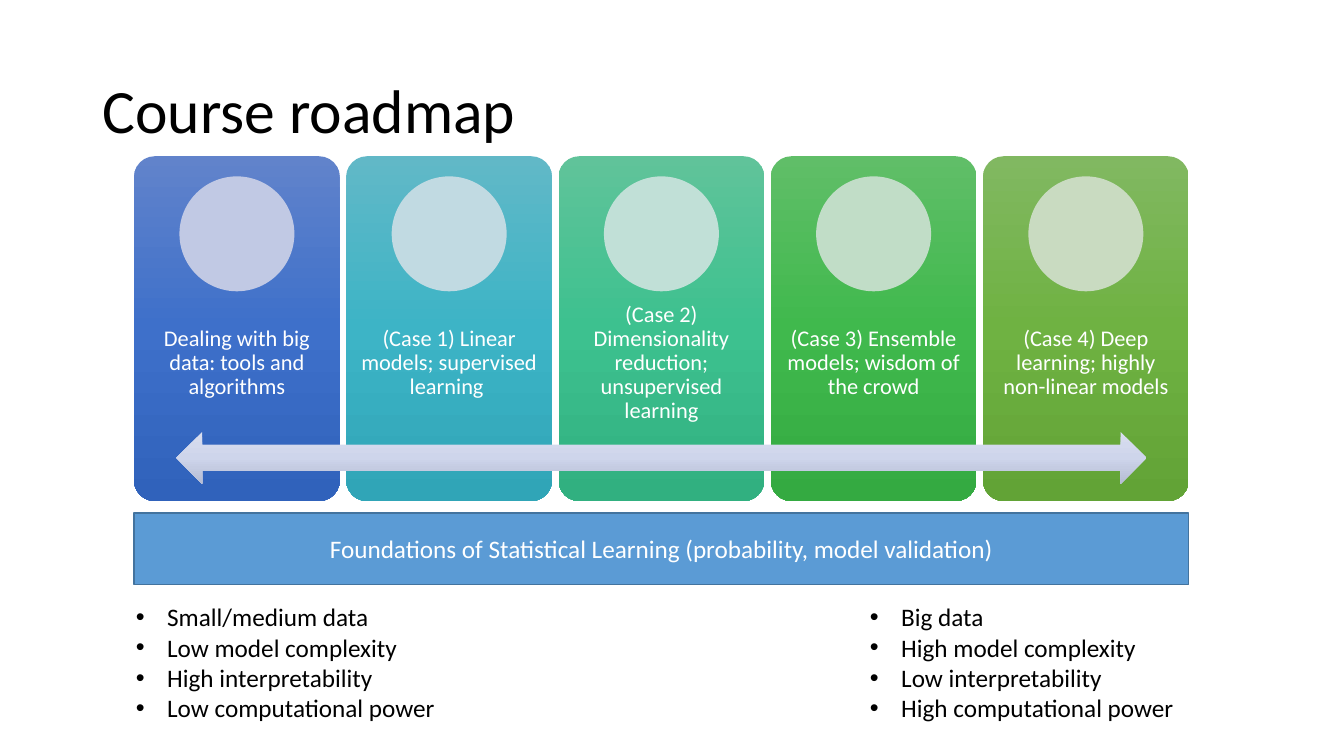
from copy import deepcopy

from lxml import etree
from pptx import Presentation
from pptx.dml.color import RGBColor
from pptx.enum.shapes import MSO_SHAPE
from pptx.enum.text import MSO_ANCHOR, PP_ALIGN
from pptx.oxml.ns import qn
from pptx.util import Inches, Pt

FONT = "Calibri"
WHITE, BLACK = "FFFFFF", "000000"

# Text, gradient colours from top to bottom, circle colour
STAGES = [
    ("Dealing with big data: tools and algorithms",
     ("6183CB", "3E70CA", "3062BB"), "C1C9E4"),
    ("(Case 1) Linear models; supervised learning ",
     ("61B8C7", "3DB4C6", "30A5B7"), "C1DAE2"),
    ("(Case 2) Dimensionality reduction; unsupervised learning",
     ("60C39A", "3DC18F", "31B080"), "C1E0D7"),
    ("(Case 3) Ensemble models; wisdom of the crowd",
     ("60BE68", "40B94D", "34AA41"), "C1DDC7"),
    ("(Case 4) Deep learning; highly non-linear models",
     ("81B861", "6FB242", "62A336"), "C9DBC1"),
]
ARROW_COLORS = ("D8DDEE", "CED5EB", "B5BCD3")
SIMPLE_END = ["Small/medium data", "Low model complexity",
              "High interpretability", "Low computational power"]
COMPLEX_END = ["Big data", "High model complexity",
               "Low interpretability", "High computational power"]


def rgb(color):
    """Turn a hex string into a colour."""
    return RGBColor.from_string(color)


def add_shape(slide, kind, box, color):
    """Add a preset shape without line or shadow; several colours make a gradient."""
    shape = slide.shapes.add_shape(kind, *map(Inches, box))
    shape.shadow.inherit = False
    shape.line.fill.background()
    if isinstance(color, str):
        shape.fill.solid()
        shape.fill.fore_color.rgb = rgb(color)
    else:
        fill_vertical_gradient(shape, color)
    return shape


def fill_vertical_gradient(shape, colors):
    """Fill a shape with three evenly spaced colours, top to bottom."""
    shape.fill.gradient()
    shape.fill.gradient_angle = 270
    stops = next(shape._element.spPr.iter(qn("a:gsLst")))
    stops.insert(1, deepcopy(stops[0]))
    for i, (stop, color) in enumerate(zip(shape.fill.gradient_stops, colors)):
        stop.position = i / (len(colors) - 1)
        stop.color.rgb = rgb(color)


def write(shape, lines, size, color, align=PP_ALIGN.LEFT, spacing=None,
          anchor=MSO_ANCHOR.MIDDLE, wrap=True):
    """Write one paragraph per line and return the paragraphs."""
    frame = shape.text_frame
    frame.word_wrap = wrap
    frame.vertical_anchor = anchor
    frame.text = "\n".join(lines)
    for paragraph in frame.paragraphs:
        paragraph.alignment = align
        paragraph.line_spacing = spacing
        font = paragraph.runs[0].font
        font.name, font.size, font.color.rgb = FONT, Pt(size), rgb(color)
    return frame.paragraphs


def add_title(slide, box, text):
    """Add the slide title."""
    title = slide.shapes.add_textbox(*map(Inches, box))
    write(title, [text], 44, BLACK, spacing=0.9)


def add_stage(slide, box, text, colors, circle_color):
    """Add one stage card with its circle and label."""
    left, top, width, height = box
    card = add_shape(slide, MSO_SHAPE.ROUNDED_RECTANGLE, box, colors)
    card.adjustments[0] = 0.1

    label_box = (left, top + 0.4 * height, width, 0.4 * height)
    label = slide.shapes.add_textbox(*map(Inches, label_box))
    write(label, [text], 16, WHITE, PP_ALIGN.CENTER, 0.9)
    for side in ("left", "right", "top", "bottom"):
        setattr(label.text_frame, f"margin_{side}", Inches(0.12))

    diameter = height / 3
    add_shape(slide, MSO_SHAPE.OVAL,
              (left + (width - diameter) / 2, top + 0.2, diameter, diameter),
              circle_color)


def add_roadmap(slide, box):
    """Spread the stage cards over the box and lay the double arrow on them."""
    left, top, width, height = box
    card_width = 2.04
    step = (width - card_width) / (len(STAGES) - 1)
    for i, stage in enumerate(STAGES):
        add_stage(slide, (left + i * step, top, card_width, height), *stage)
    add_shape(slide, MSO_SHAPE.LEFT_RIGHT_ARROW,
              (left + 0.04 * width, top + 0.8 * height, 0.92 * width, 0.15 * height),
              ARROW_COLORS)


def add_foundation(slide, box, text):
    """Add the bar that supports all stages."""
    bar = add_shape(slide, MSO_SHAPE.RECTANGLE, box, "5B9BD5")
    bar.line.color.rgb = rgb("43739E")
    bar.line.width = Pt(1)
    write(bar, [text], 18, WHITE, PP_ALIGN.CENTER)


def add_bullets(slide, box, lines):
    """Add a bulleted list."""
    text_box = slide.shapes.add_textbox(*map(Inches, box))
    indent = Inches(0.31)
    for paragraph in write(text_box, lines, 18, BLACK,
                           anchor=MSO_ANCHOR.TOP, wrap=False):
        properties = paragraph._p.get_or_add_pPr()
        properties.set("marL", str(indent))
        properties.set("indent", str(-indent))
        etree.SubElement(properties, qn("a:buFont"), typeface="Arial")
        etree.SubElement(properties, qn("a:buChar"), char="•")


def build_roadmap_slide(presentation):
    """Build the course roadmap slide."""
    slide = presentation.slides.add_slide(presentation.slide_layouts[6])
    left, width = 1.33, 10.46
    add_title(slide, (0.92, 0.4, 11.5, 1.45), "Course roadmap")
    add_roadmap(slide, (left, 1.55, width, 3.42))
    add_bullets(slide, (8.53, 5.92, 3.25, 1.62), COMPLEX_END)
    add_bullets(slide, (1.25, 5.92, 3.2, 1.62), SIMPLE_END)
    add_foundation(slide, (left, 5.09, width, 0.71),
                   "Foundations of Statistical Learning (probability, model validation)")


presentation = Presentation()
presentation.slide_width = Inches(13.33)
presentation.slide_height = Inches(7.5)
build_roadmap_slide(presentation)
presentation.save("out.pptx")
